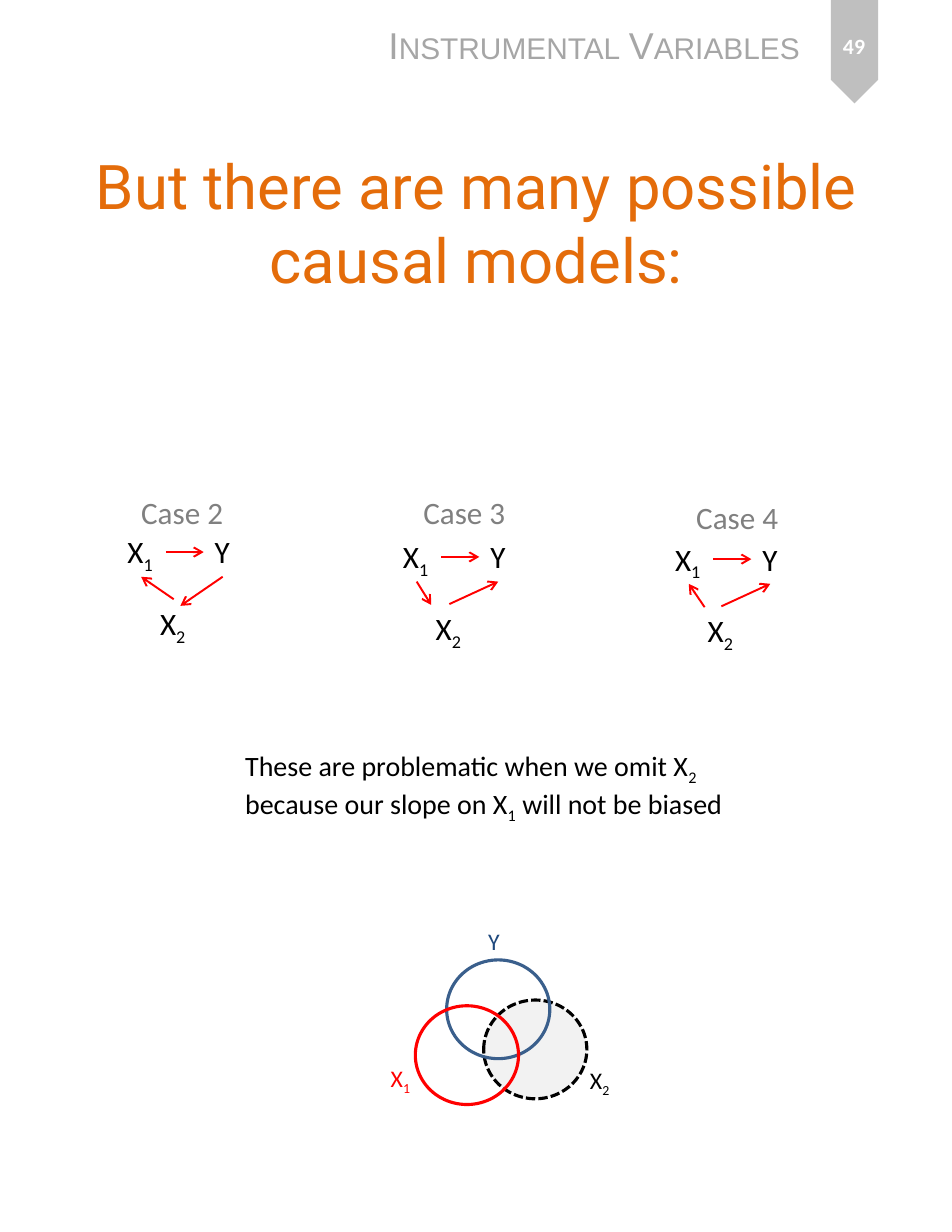
from lxml.etree import SubElement
from pptx import Presentation
from pptx.dml.color import RGBColor
from pptx.enum.dml import MSO_LINE
from pptx.enum.shapes import MSO_CONNECTOR, MSO_SHAPE
from pptx.enum.text import MSO_ANCHOR, MSO_AUTO_SIZE, PP_ALIGN
from pptx.oxml.ns import qn
from pptx.util import Cm, Pt

BLACK = RGBColor(0x00, 0x00, 0x00)
WHITE = RGBColor(0xFF, 0xFF, 0xFF)
RED = RGBColor(0xFF, 0x00, 0x00)
BLUE = RGBColor(0x3A, 0x5F, 0x8C)
NAVY = RGBColor(0x1F, 0x49, 0x7D)
ORANGE = RGBColor(0xE4, 0x6C, 0x0A)
PALE = RGBColor(0xF2, 0xF2, 0xF2)
SILVER = RGBColor(0xBF, 0xBF, 0xBF)
ASH = RGBColor(0xA6, 0xA6, 0xA6)
GRAY = RGBColor(0x80, 0x80, 0x80)
TOP, LEFT, BOTTOM, RIGHT = range(4)


class Page:
    font = "Calibri"
    size = 20

    def __init__(self, deck):
        self.shapes = deck.slides.add_slide(deck.slide_layouts[6]).shapes

    def text(self, box, *parts, color=BLACK, size=None, font=None, bold=False,
             wrap=False, grow=True, center=False, middle=False, caps=False):
        """Add a text box; every second part is a subscript."""
        item = self.shapes.add_textbox(*map(Cm, box))
        frame = item.text_frame
        frame.word_wrap = wrap
        frame.auto_size = MSO_AUTO_SIZE.SHAPE_TO_FIT_TEXT if grow else MSO_AUTO_SIZE.NONE
        frame.vertical_anchor = MSO_ANCHOR.MIDDLE if middle else MSO_ANCHOR.TOP
        para = frame.paragraphs[0]
        para.alignment = PP_ALIGN.CENTER if center else PP_ALIGN.LEFT
        for i, part in enumerate(parts):
            run = para.add_run()
            run.text = part
            run.font.name = font or self.font
            run.font.size = Pt(size or self.size)
            run.font.bold = bold
            run.font.color.rgb = color
            props = run.font._element
            if i % 2:
                props.set("baseline", "-25000")
            if caps:
                props.set("cap", "small")
        return item

    def shape(self, kind, box, fill=None, line=None, dash=None):
        item = self.shapes.add_shape(kind, *map(Cm, box))
        item.shadow.inherit = False
        if fill is None:
            item.fill.background()
        else:
            item.fill.solid()
            item.fill.fore_color.rgb = fill
        if line is None:
            item.line.fill.background()
        else:
            item.line.color.rgb = line
            item.line.width = Pt(2)
            item.line.dash_style = dash
        return item

    def arrow(self, start, end):
        """Draw an arrow; each end is an (item, side) pair or an (x, y) point."""
        link = self.shapes.add_connector(MSO_CONNECTOR.STRAIGHT, 0, 0, 0, 0)
        if isinstance(end[0], float):
            link.end_x, link.end_y = map(Cm, end)
        else:
            link.end_connect(*end)
        if isinstance(start[0], float):
            link.begin_x, link.begin_y = map(Cm, start)
        else:
            link.begin_connect(*start)
        link.line.color.rgb = RED
        link.line.width = Pt(1.25)
        SubElement(link.line._get_or_add_ln(), qn("a:tailEnd"), type="arrow")
        SubElement(link._element.spPr, qn("a:effectLst"))

    def model(self, name, label, x, y):
        """Add a case label and its three nodes, and return the nodes."""
        self.text((*label, 2.39, 1.12), name, color=GRAY)
        one = self.text((x, y, 1.12, 1.12), "X", "1")
        out = self.text((x + 1.98, y, 0.86, 1.12), "Y")
        two = self.text((x + 0.74, y + 1.63, 1.12, 1.12), "X", "2")
        self.arrow((one, RIGHT), (out, LEFT))
        return one, out, two


def main():
    deck = Presentation()
    deck.slide_width, deck.slide_height = Cm(21.59), Cm(27.94)
    page = Page(deck)

    tab = page.shape(MSO_SHAPE.PENTAGON, (18.21, 0.64, 2.34, 1.07), fill=SILVER)
    tab.rotation = 90
    page.text((8.56, 0.38, 9.88, 1.27), "Instrumental Variables",
              color=ASH, size=24, font="Arial", caps=True)
    page.text((18.52, 0.28, 1.7, 1.5), "49", color=WHITE, size=14, bold=True,
              wrap=True, grow=False, center=True, middle=True)
    page.text((1.09, 3.23, 19.43, 4.65), "But there are many possible causal models:",
              color=ORANGE, size=39.6, font="Roboto", wrap=True, grow=False, center=True)

    one, out, two = page.model("Case 2", (2.95, 11.07), 2.64, 11.96)
    page.arrow((out, BOTTOM), (4.09, 13.74))
    page.arrow((two, TOP), (one, BOTTOM))

    one, out, two = page.model("Case 3", (9.35, 11.07), 8.89, 12.07)
    page.arrow((one, BOTTOM), (9.78, 13.72))
    page.arrow((two, TOP), (out, BOTTOM))

    one, out, two = page.model("Case 4", (15.54, 11.18), 15.06, 12.12)
    page.arrow((15.98, 13.77), (one, BOTTOM))
    page.arrow((two, TOP), (out, BOTTOM))

    page.text((5.31, 16.84, 12.88, 1.8), "These are problematic when we omit X", "2",
              " because our slope on X", "1", " will not be biased", size=18, wrap=True)

    for x, y, fill, line, dash in (
        (10.97, 22.68, PALE, BLACK, MSO_LINE.SQUARE_DOT),
        (10.13, 21.77, None, BLUE, None),
        (9.42, 22.81, None, RED, None),
    ):
        page.shape(MSO_SHAPE.OVAL, (x, y, 2.34, 2.24), fill, line, dash)
    for x, y, wide, parts, color in (
        (10.82, 20.9, 0.94, "Y", NAVY),
        (8.61, 24, 1.02, "X1", RED),
        (13.13, 24.05, 1.07, "X2", BLACK),
    ):
        page.text((x, y, wide, 0.91), *parts, color=color, size=15.3, wrap=True)

    deck.save("out.pptx")


if __name__ == "__main__":
    main()
